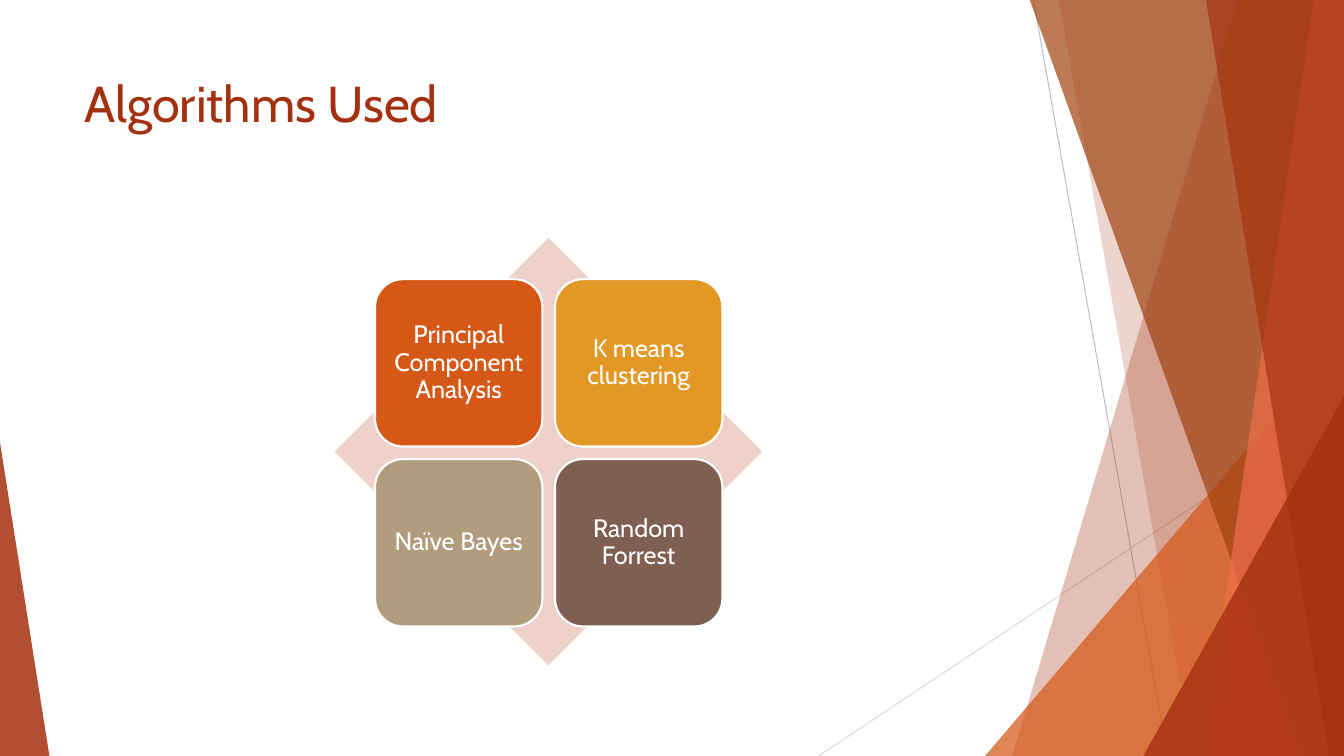
"""Build the "Algorithms Used" slide with its faceted red and orange decoration."""
from lxml import etree
from pptx import Presentation
from pptx.dml.color import RGBColor
from pptx.enum.shapes import MSO_CONNECTOR, MSO_SHAPE
from pptx.enum.text import MSO_ANCHOR, PP_ALIGN
from pptx.oxml.ns import qn
from pptx.util import Inches, Pt

STRAIGHT = MSO_CONNECTOR.STRAIGHT
TRIANGLE = MSO_SHAPE.RIGHT_TRIANGLE
APEX_TRIANGLE = MSO_SHAPE.ISOSCELES_TRIANGLE
DIAMOND = MSO_SHAPE.DIAMOND
ROUNDED = MSO_SHAPE.ROUNDED_RECTANGLE
MIDDLE = MSO_ANCHOR.MIDDLE
TOP = MSO_ANCHOR.TOP
CENTER = PP_ALIGN.CENTER
LEFT = PP_ALIGN.LEFT

WHITE = RGBColor(0xFF, 0xFF, 0xFF)
GREY = RGBColor(0xBF, 0xBF, 0xBF)
LIGHT_GREY = RGBColor(0xD9, 0xD9, 0xD9)
RED = RGBColor(0xA5, 0x30, 0x0F)
CORAL = RGBColor(0xEE, 0x6E, 0x4A)
RUST = RGBColor(0xA0, 0x42, 0x10)
ORANGE = RGBColor(0xD5, 0x58, 0x16)
AMBER = RGBColor(0xE1, 0x98, 0x25)
TAN = RGBColor(0xB1, 0x9C, 0x7D)
BROWN = RGBColor(0x7F, 0x5F, 0x52)
PINK = RGBColor(0xEF, 0xD1, 0xCC)

FONT = "Cabin"
SLIDE_WIDTH, SLIDE_HEIGHT = 13.33, 7.5
SHARD_TOP = -0.01
TILE_SIZE = 1.66
TILE_LEFT, TILE_TOP = 3.72, 2.77
TILE_STEP = 1.785

ALGORITHMS = [
    ("Principal Component Analysis", ORANGE),
    ("K means clustering", AMBER),
    ("Naïve Bayes", TAN),
    ("Random Forrest", BROWN),
]


def paint(shape, color, opacity=100):
    """Give a shape a flat fill with the given opacity and no outline or shadow."""
    shape.shadow.inherit = False
    shape.line.fill.background()
    shape.fill.solid()
    shape.fill.fore_color.rgb = color
    if opacity < 100:
        color_element = shape.fill._xPr.find(".//" + qn("a:srgbClr"))
        alpha = etree.SubElement(color_element, qn("a:alpha"))
        alpha.set("val", str(opacity * 1000))


def add_hairline(slide, start, end, color):
    """Draw a thin straight line between two points."""
    points = [Inches(value) for value in (*start, *end)]
    connector = slide.shapes.add_connector(STRAIGHT, *points)
    connector.line.color.rgb = color
    connector.line.width = Pt(0.75)
    etree.SubElement(connector._element.spPr, qn("a:effectLst"))


def add_shard(slide, top_x, bottom_x, color, opacity):
    """Draw a full-height shard that reaches the right edge of the slide."""
    corners = [
        (SLIDE_WIDTH, SHARD_TOP),
        (SLIDE_WIDTH, SLIDE_HEIGHT),
        (bottom_x, SLIDE_HEIGHT),
    ]
    builder = slide.shapes.build_freeform(Inches(top_x), Inches(SHARD_TOP))
    builder.add_line_segments([(Inches(x), Inches(y)) for x, y in corners])
    paint(builder.convert_to_shape(), color, opacity)


def add_corner_triangle(slide, left, top, width, apex, color, opacity):
    """Draw a triangle standing on the bottom edge of the slide."""
    shape = slide.shapes.add_shape(
        APEX_TRIANGLE, Inches(left), Inches(top),
        Inches(width), Inches(SLIDE_HEIGHT - top),
    )
    shape.adjustments[0] = apex
    paint(shape, color, opacity)


def write_text(shape, text, size, color, anchor, alignment):
    """Write one wrapped paragraph into a shape and return the paragraph."""
    frame = shape.text_frame
    frame.word_wrap = True
    frame.vertical_anchor = anchor
    paragraph = frame.paragraphs[0]
    paragraph.alignment = alignment
    run = paragraph.add_run()
    run.text = text
    run.font.name = FONT
    run.font.size = Pt(size)
    run.font.color.rgb = color
    return paragraph


def add_title(slide, text):
    """Add the slide title."""
    box = slide.shapes.add_textbox(Inches(0.74), Inches(0.67), Inches(9.4), Inches(1.44))
    write_text(box, text, 36, RED, TOP, LEFT)


def add_tile(slide, index, text, color):
    """Add one rounded tile of the two-by-two grid."""
    row, column = divmod(index, 2)
    tile = slide.shapes.add_shape(
        ROUNDED,
        Inches(TILE_LEFT + column * TILE_STEP), Inches(TILE_TOP + row * TILE_STEP),
        Inches(TILE_SIZE), Inches(TILE_SIZE),
    )
    paint(tile, color)
    tile.line.color.rgb = WHITE
    tile.line.width = Pt(1.5)
    frame = tile.text_frame
    frame.margin_left = frame.margin_right = Inches(0.07)
    frame.margin_top = frame.margin_bottom = Inches(0.07)
    write_text(tile, text, 18, WHITE, MIDDLE, CENTER).line_spacing = 0.9


def add_decoration(slide):
    """Draw the hairlines and translucent facets from back to front."""
    add_hairline(slide, (10.25, 0), (11.58, SLIDE_HEIGHT), GREY)
    add_hairline(slide, (SLIDE_WIDTH, 4.03), (8.12, SLIDE_HEIGHT), LIGHT_GREY)
    add_shard(slide, 12.28, 10.04, RED, 30)
    add_shard(slide, 10.5, 11.83, RED, 20)
    add_corner_triangle(slide, 9.77, 3.33, 3.56, 1, ORANGE, 72)
    add_shard(slide, 10.21, 12.91, RUST, 70)
    add_shard(slide, 13.03, 11.92, CORAL, 70)
    add_shard(slide, 11.96, 13.18, RED, 65)
    add_corner_triangle(slide, 11.34, 3.93, 1.99, 1, RED, 80)
    add_corner_triangle(slide, 0, 4.39, 0.49, 0, RED, 85)


def add_algorithm_matrix(slide):
    """Draw the diamond and the four algorithm tiles on it."""
    diamond = slide.shapes.add_shape(
        DIAMOND, Inches(3.32), Inches(2.36), Inches(4.24), Inches(4.24)
    )
    paint(diamond, PINK)
    for index, (text, color) in enumerate(ALGORITHMS):
        add_tile(slide, index, text, color)


def main():
    """Build and save the presentation."""
    presentation = Presentation()
    presentation.slide_width = Inches(SLIDE_WIDTH)
    presentation.slide_height = Inches(SLIDE_HEIGHT)
    slide = presentation.slides.add_slide(presentation.slide_layouts[6])
    add_decoration(slide)
    add_title(slide, "Algorithms Used")
    add_algorithm_matrix(slide)
    presentation.save("out.pptx")


if __name__ == "__main__":
    main()
